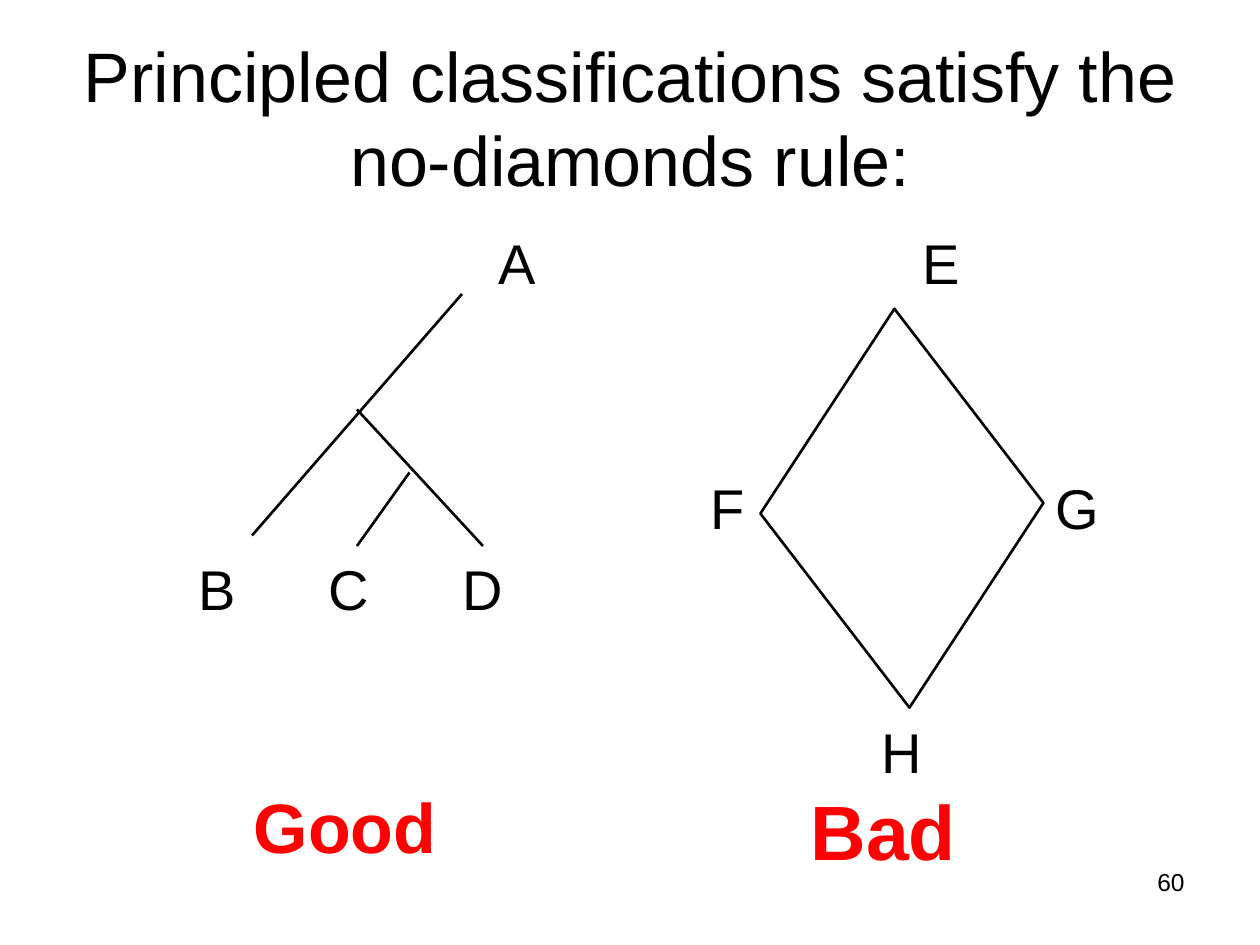
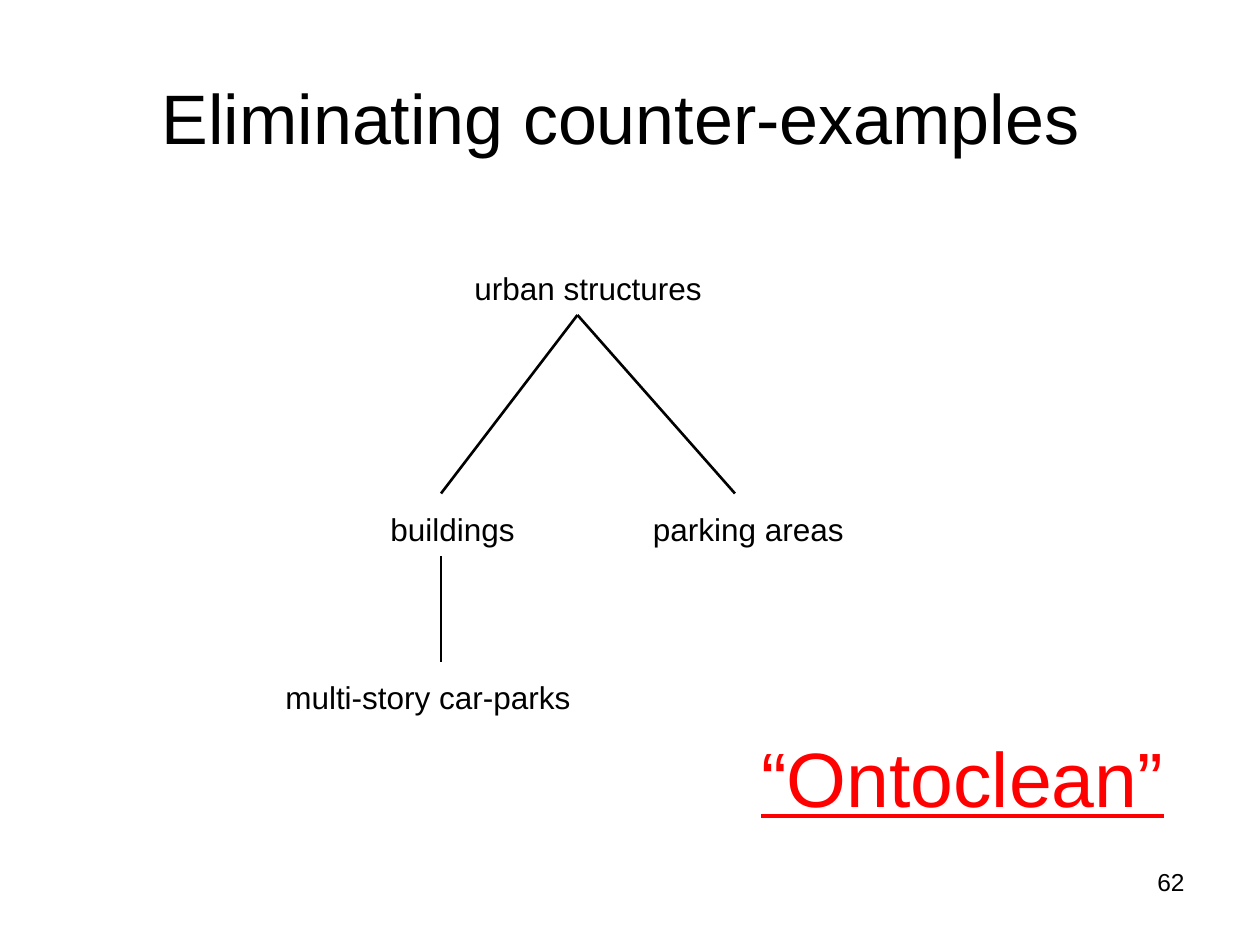
import pptx
import pptx.util
import pptx.dml.color
import pptx.enum.shapes
import pptx.enum.text
import pptx.oxml.ns
from lxml import etree

Pt = pptx.util.Pt
ALIGN = pptx.enum.text.PP_ALIGN
ANCHOR = pptx.enum.text.MSO_ANCHOR

BLACK = pptx.dml.color.RGBColor(0x00, 0x00, 0x00)
RED = pptx.dml.color.RGBColor(0xFF, 0x00, 0x00)
FONT = "Arial"
LINE_WIDTH = 1.5

# All places are columns and rows of a 120 x 90 grid of square cells.
WIDTH, HEIGHT = pptx.util.Inches(10), pptx.util.Inches(7.5)
CELL = WIDTH / 120
TITLE_BOX = (6, 3.6, 108, 15)
NUMBER_BOX = (86, 82, 28, 6.2)

LETTER_SIZE = 7  # side of the square box around a node letter
LETTERS = [  # letter, centre column, centre row
    ("A", 49.3, 25), ("B", 20.7, 56), ("C", 33.2, 56), ("D", 46, 56),
    ("E", 89.6, 25), ("F", 69.3, 48.3), ("G", 102.6, 48.3), ("H", 85.9, 71.5),
]
DIAMOND = {"box": (70.4, 37.4, 31, 22), "rotation": 303.2, "slant": 0.35}

# Labels: text, box, size, font settings
# Branches: start column and row, end column and row
SLIDES = [
    {
        "title": "Principled classifications satisfy the no-diamonds rule:",
        "number": "60",
        "labels": [
            ("Good", (23, 74, 19.8, 9.2), 40, {"color": RED, "bold": True}),
            ("Bad", (76, 74, 16.2, 10.1), 44, {"color": RED, "bold": True}),
        ],
        "branches": [(44, 28, 24, 51), (34, 39, 46, 52), (39, 45, 34, 52)],
    },
    {
        "title": "Eliminating counter-examples ",
        "number": "62",
        "labels": [
            ("urban structures", (44, 25, 24, 4.8), 18, {}),
            ("buildings", (36, 48, 14.2, 4.8), 18, {}),
            ("parking areas", (61, 48, 20.5, 4.8), 18, {}),
            ("multi-story car-parks", (26, 64, 29.5, 4.8), 18, {}),
            ("“Ontoclean”", (71.3, 69, 40.7, 10.1), 44,
             {"color": RED, "underline": True}),
        ],
        "branches": [(55, 30, 42, 47), (42, 53, 42, 63), (55, 30, 70, 47)],
    },
]


def cells(*counts):
    return [round(n * CELL) for n in counts]


def write(sp, text, size, align=ALIGN.LEFT, anchor=ANCHOR.TOP, wrap=False,
          color=BLACK, bold=False, underline=False):
    tf = sp.text_frame
    tf.auto_size = pptx.enum.text.MSO_AUTO_SIZE.NONE
    tf.word_wrap = wrap
    tf.vertical_anchor = anchor
    p = tf.paragraphs[0]
    p.text = text
    p.alignment = align
    p.font.name, p.font.size = FONT, Pt(size)
    p.font.bold, p.font.underline = bold, underline
    p.font.color.rgb = color


def add_text(slide, text, box, size, **style):
    write(slide.shapes.add_textbox(*cells(*box)), text, size, **style)


def style_line(line):
    line.color.rgb = BLACK
    line.width = Pt(LINE_WIDTH)


def add_branch(slide, ends):
    line = slide.shapes.add_connector(
        pptx.enum.shapes.MSO_CONNECTOR.STRAIGHT, *cells(*ends))
    style_line(line.line)
    etree.SubElement(line._element.spPr, pptx.oxml.ns.qn("a:effectLst"))


def add_slide(prs, content):
    """Add a slide with its title, labels, branches and page number."""
    slide = prs.slides.add_slide(prs.slide_layouts.get_by_name("Title Only"))
    title = slide.shapes.title
    title.left, title.top, title.width, title.height = cells(*TITLE_BOX)
    write(title, content["title"], 40, ALIGN.CENTER, ANCHOR.MIDDLE, wrap=True)
    for ends in content["branches"]:
        add_branch(slide, ends)
    for text, box, size, style in content["labels"]:
        add_text(slide, text, box, size, **style)
    add_text(slide, content["number"], NUMBER_BOX, 14, align=ALIGN.RIGHT, wrap=True)
    return slide


def add_diamond(slide):
    sp = slide.shapes.add_shape(
        pptx.enum.shapes.MSO_SHAPE.PARALLELOGRAM, *cells(*DIAMOND["box"]))
    sp.adjustments[0] = DIAMOND["slant"]
    sp.rotation = DIAMOND["rotation"]
    sp.shadow.inherit = False
    sp.fill.background()
    style_line(sp.line)


def add_letters(slide):
    for letter, col, row in LETTERS:
        box = (col - LETTER_SIZE / 2, row - LETTER_SIZE / 2, LETTER_SIZE, LETTER_SIZE)
        add_text(slide, letter, box, 32, align=ALIGN.CENTER, anchor=ANCHOR.MIDDLE)


def main():
    prs = pptx.Presentation()
    prs.slide_width, prs.slide_height = WIDTH, HEIGHT
    rule_slide, _ = [add_slide(prs, content) for content in SLIDES]
    add_diamond(rule_slide)
    add_letters(rule_slide)
    prs.save("out.pptx")


if __name__ == "__main__":
    main()
